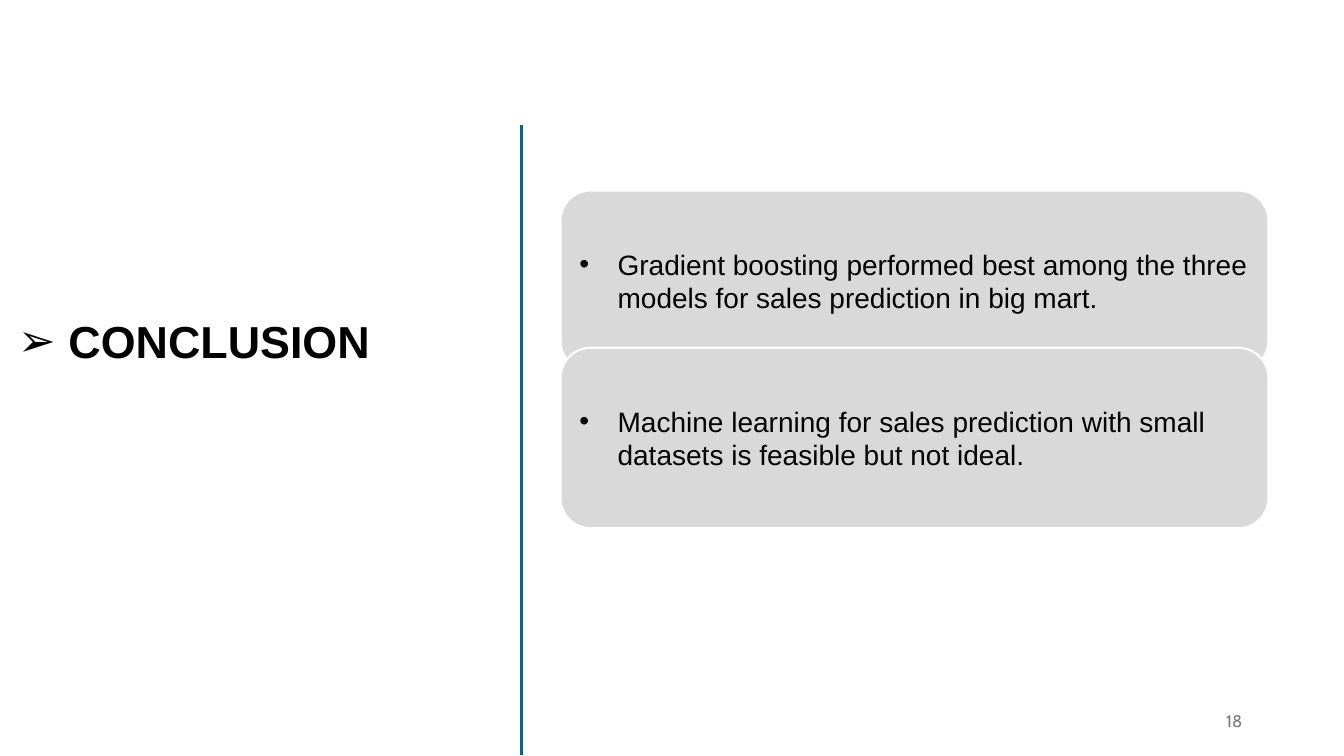
import pptx
import pptx.dml.color
import pptx.enum.shapes
import pptx.enum.text
import pptx.oxml.ns
import pptx.util
from lxml import etree
from pptx.util import Inches

RGBColor = pptx.dml.color.RGBColor
ALIGN = pptx.enum.text.PP_ALIGN
ANCHOR = pptx.enum.text.MSO_ANCHOR
SHAPE = pptx.enum.shapes.MSO_SHAPE

BLACK = RGBColor(0x00, 0x00, 0x00)
WHITE = RGBColor(0xFF, 0xFF, 0xFF)
PANEL_GRAY = RGBColor(0xD9, 0xD9, 0xD9)
NUMBER_GRAY = RGBColor(0x79, 0x79, 0x79)
DIVIDER_BLUE = RGBColor(0x15, 0x60, 0x82)

FINDINGS = [
    "Gradient boosting performed best among the three models for sales prediction in big mart.",
    "Machine learning for sales prediction with small datasets is feasible but not ideal.",
]


class SlideBuilder:
    """Holds the text style and the current slide."""

    font_name = "Arial"

    def __init__(self, page):
        self.page = page

    def set_text(self, shape, text, size, color=BLACK, bold=False,
                 align=ALIGN.LEFT, anchor=ANCHOR.MIDDLE, font_name=None):
        frame = shape.text_frame
        frame.text = text
        frame.word_wrap = True
        frame.auto_size = pptx.enum.text.MSO_AUTO_SIZE.NONE
        frame.vertical_anchor = anchor
        para = frame.paragraphs[0]
        para.alignment = align
        font = para.runs[0].font
        font.name = font_name or self.font_name
        font.size = pptx.util.Pt(size)
        font.bold = bold
        font.color.rgb = color
        return para

    def bullet(self, para, mark, indent):
        properties = para._p.get_or_add_pPr()
        properties.set("marL", str(Inches(indent)))
        properties.set("indent", str(-Inches(indent)))
        for tag, name, value in (("a:buFont", "typeface", "Arial"),
                                 ("a:buChar", "char", mark)):
            etree.SubElement(properties, pptx.oxml.ns.qn(tag)).set(name, value)

    def title(self, text, left, top, width, height):
        shape = self.page.shapes.title
        shape.left, shape.top = Inches(left), Inches(top)
        shape.width, shape.height = Inches(width), Inches(height)
        para = self.set_text(shape, text, 32, bold=True, align=ALIGN.CENTER,
                             anchor=ANCHOR.TOP)
        para.line_spacing = 0.9
        para.space_before = pptx.util.Pt(0)
        self.bullet(para, "➢", 0.5)

    def divider(self, x, top, bottom):
        line = self.page.shapes.add_connector(
            pptx.enum.shapes.MSO_CONNECTOR.STRAIGHT,
            Inches(x), Inches(top), Inches(x), Inches(bottom))
        line.line.color.rgb = DIVIDER_BLUE
        line.line.width = pptx.util.Pt(2)
        etree.SubElement(line._element.spPr, pptx.oxml.ns.qn("a:effectLst"))

    def panel(self, text, left, top, width, height):
        shape = self.page.shapes.add_shape(
            SHAPE.ROUNDED_RECTANGLE, Inches(left), Inches(top),
            Inches(width), Inches(height))
        shape.shadow.inherit = False
        shape.fill.solid()
        shape.fill.fore_color.rgb = PANEL_GRAY
        shape.line.color.rgb = WHITE
        shape.line.width = pptx.util.Pt(1.5)
        self.bullet(self.set_text(shape, text, 20), "•", 0.38)

    def page_number(self, text, left, top, width, height):
        box = self.page.shapes.add_textbox(
            Inches(left), Inches(top), Inches(width), Inches(height))
        self.set_text(box, text, 12, NUMBER_GRAY, align=ALIGN.RIGHT,
                      font_name="Cabin")


def main():
    deck = pptx.Presentation()
    deck.slide_width, deck.slide_height = Inches(13.33), Inches(7.5)
    title_only = deck.slide_layouts[5]
    builder = SlideBuilder(deck.slides.add_slide(title_only))

    # Heading and divider
    builder.title("CONCLUSION", -0.23, 3.12, 4.31, 6.11)
    builder.divider(5.17, 1.24, 7.49)

    # Overlapping panels, one per finding
    for index, finding in enumerate(FINDINGS):
        builder.panel(finding, 5.56, 1.89 + 1.56 * index, 7.02, 1.79)

    # Footer
    builder.page_number("18", 9.42, 6.95, 3, 0.4)

    deck.save("out.pptx")


if __name__ == "__main__":
    main()
